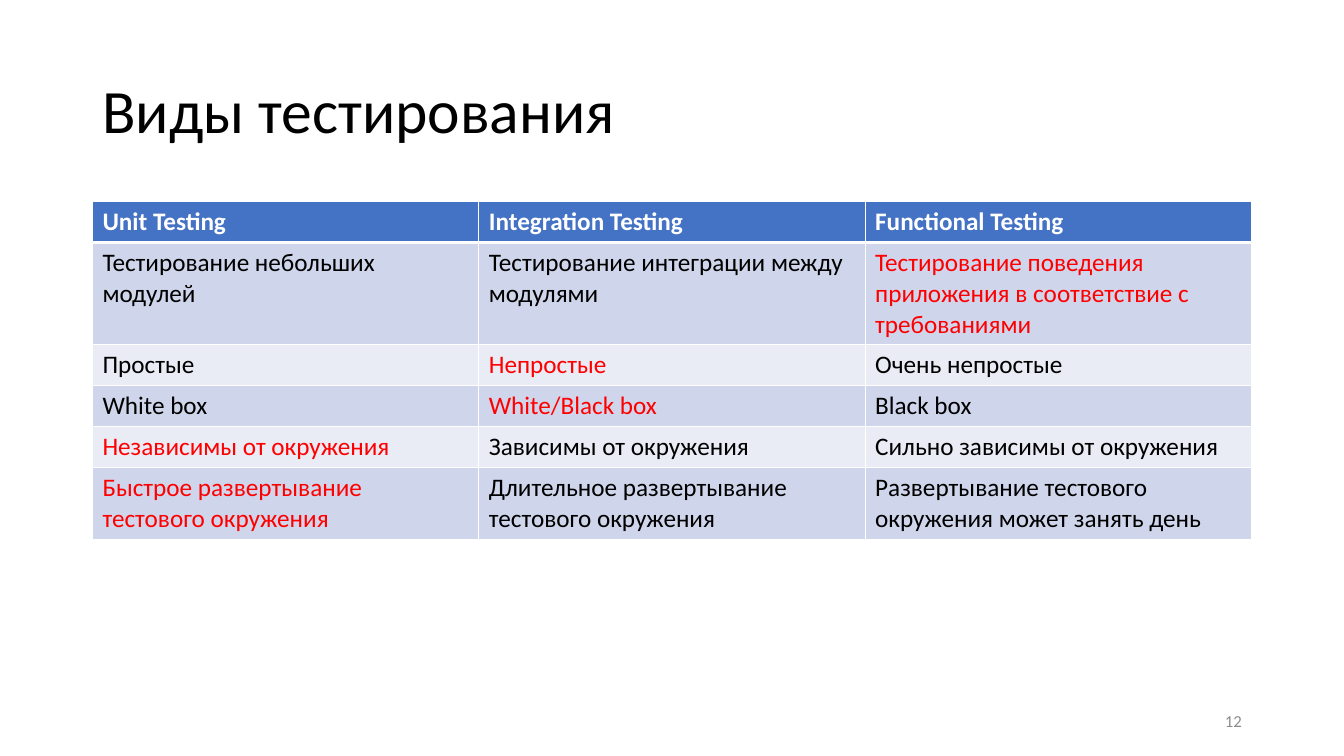
import lxml.etree
import pptx
import pptx.dml.color
import pptx.enum.text
import pptx.oxml.ns
import pptx.util

Cm = pptx.util.Cm
Pt = pptx.util.Pt
RGBColor = pptx.dml.color.RGBColor
qn = pptx.oxml.ns.qn

BLACK = RGBColor(0x00, 0x00, 0x00)
WHITE = RGBColor(0xFF, 0xFF, 0xFF)
RED = RGBColor(0xFF, 0x00, 0x00)
GRAY = RGBColor(0x8C, 0x8C, 0x8C)
HEADER_BLUE = RGBColor(0x44, 0x72, 0xC4)
BAND_DARK = RGBColor(0xCF, 0xD5, 0xEA)
BAND_LIGHT = RGBColor(0xE9, 0xEB, 0xF5)

FONT = "Calibri"
MARGIN = Cm(2.33)
CONTENT_WIDTH = Cm(29.21)
ROW_HEIGHT = Cm(1.03)

ROWS = [
    ["Unit Testing", "Integration Testing", "Functional Testing"],
    [
        "Тестирование небольших модулей",
        "Тестирование интеграции между модулями",
        "Тестирование поведения приложения в соответствие с требованиями",
    ],
    ["Простые", "Непростые", "Очень непростые"],
    ["White box", "White/Black box", "Black box"],
    ["Независимы от окружения", "Зависимы от окружения", "Сильно зависимы от окружения"],
    [
        "Быстрое развертывание тестового окружения",
        "Длительное развертывание тестового окружения",
        "Развертывание тестового окружения может занять день",
    ],
]
RED_CELLS = {(1, 2), (2, 1), (3, 1), (4, 0), (5, 0)}


def write_text(text_frame, text, size, color, bold=False):
    text_frame.text = text
    font = text_frame.paragraphs[0].runs[0].font
    font.name = FONT
    font.size = Pt(size)
    font.color.rgb = color
    font.bold = bold


def add_border(cell, side, width):
    properties = cell._tc.get_or_add_tcPr()
    line = lxml.etree.SubElement(properties, qn(f"a:ln{side}"), w=str(Pt(width)))
    fill = lxml.etree.SubElement(line, qn("a:solidFill"))
    lxml.etree.SubElement(fill, qn("a:srgbClr"), val=str(WHITE))


presentation = pptx.Presentation()
presentation.slide_width = Cm(33.87)
presentation.slide_height = Cm(19.05)
slide = presentation.slides.add_slide(presentation.slide_layouts[5])

title = slide.shapes.title
title.left, title.top = MARGIN, Cm(1.01)
title.width, title.height = CONTENT_WIDTH, Cm(3.68)
title.text_frame.vertical_anchor = pptx.enum.text.MSO_ANCHOR.MIDDLE
write_text(title.text_frame, "Виды тестирования", 44, BLACK)
title_paragraph = title.text_frame.paragraphs[0]
title_paragraph.alignment = pptx.enum.text.PP_ALIGN.LEFT
title_paragraph.line_spacing = 0.9

table = slide.shapes.add_table(
    len(ROWS), len(ROWS[0]), MARGIN, Cm(5.08), CONTENT_WIDTH, ROW_HEIGHT * len(ROWS)
).table

for row_index, row in enumerate(ROWS):
    is_header = row_index == 0
    for column_index, text in enumerate(row):
        cell = table.cell(row_index, column_index)
        if is_header:
            color, background = WHITE, HEADER_BLUE
        else:
            color = RED if (row_index, column_index) in RED_CELLS else BLACK
            background = BAND_DARK if row_index % 2 else BAND_LIGHT
        write_text(cell.text_frame, text, 18, color, is_header)
        for side in "LRTB":
            below_header = (row_index, side) in {(0, "B"), (1, "T")}
            add_border(cell, side, 3 if below_header else 1)
        cell.fill.solid()
        cell.fill.fore_color.rgb = background

slide_number = slide.shapes.add_textbox(Cm(23.93), Cm(17.65), Cm(7.62), Cm(1.01))
slide_number.text_frame.word_wrap = True
slide_number.text_frame.vertical_anchor = pptx.enum.text.MSO_ANCHOR.MIDDLE
write_text(slide_number.text_frame, "12", 12, GRAY)
slide_number.text_frame.paragraphs[0].alignment = pptx.enum.text.PP_ALIGN.RIGHT

presentation.save("out.pptx")
